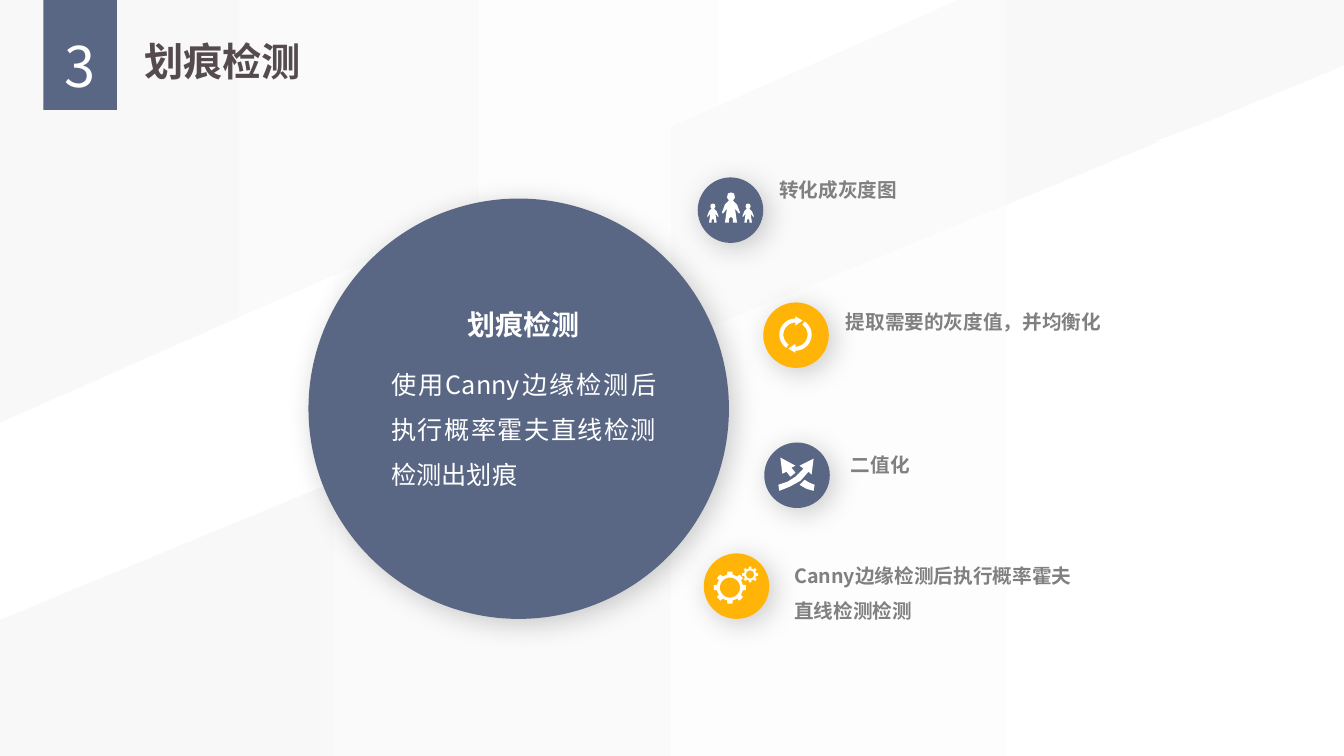
import math
import lxml.etree
import pptx
import pptx.dml.color
import pptx.enum.shapes
import pptx.enum.text
import pptx.oxml.ns
import pptx.util

Inches = pptx.util.Inches
Kind = pptx.enum.shapes.MSO_SHAPE
Align = pptx.enum.text.PP_ALIGN
qn = pptx.oxml.ns.qn
INK = {"navy": "596784", "gold": "FFB407", "white": "FFFFFF", "pale": "F8F8F8",
       "mist": "F2F2F2", "gray": "808080", "brown": "554B4F", "black": "000000"}


class Deck:
    """Hold the style and the current slide, and draw each kind of element."""

    face = "Noto Sans CJK SC"

    def __init__(self):
        self.prs = pptx.Presentation()
        self.prs.slide_width = Inches(13.33)
        self.prs.slide_height = Inches(7.5)
        self.slide = self.prs.slides.add_slide(self.prs.slide_layouts[5])
        self.shapes = self.slide.shapes

    def tint(self, name):
        return pptx.dml.color.RGBColor.from_string(INK[name])

    def paint(self, shape, *inks):
        shape.shadow.inherit = False
        shape.line.fill.background()
        if len(inks) == 1:
            shape.fill.solid()
            shape.fill.fore_color.rgb = self.tint(inks[0])
        else:
            shape.fill.gradient()
            shape.fill.gradient_angle = 180
            for stop, ink, place in zip(shape.fill.gradient_stops, inks, (0, 1)):
                stop.color.rgb = self.tint(ink)
                stop.position = place
        return shape

    def block(self, kind, box, *inks):
        return self.paint(self.shapes.add_shape(kind, *map(Inches, box)), *inks)

    def disc(self, left, top, size, ink):
        shape = self.block(Kind.OVAL, (left, top, size, size), ink)
        effect = shape._element.spPr.find(qn("a:effectLst"))
        shade = lxml.etree.SubElement(
            effect, qn("a:outerShdw"), blurRad=str(pptx.util.Pt(20)),
            dist=str(pptx.util.Pt(5)), dir=str(45 * 60000), algn="tl", rotWithShape="0")
        color = lxml.etree.SubElement(shade, qn("a:srgbClr"), val=INK["black"])
        lxml.etree.SubElement(color, qn("a:alpha"), val="20000")

    def form(self, loops, *inks):
        pen = None
        for loop in loops:
            first, *rest = [(Inches(x), Inches(y)) for x, y in loop]
            if pen is None:
                pen = self.shapes.build_freeform(*first)
            else:
                pen.move_to(*first)
            pen.add_line_segments(rest, close=True)
        return self.paint(pen.convert_to_shape(), *inks)

    def label(self, box, text, size, ink, bold=False, align=Align.LEFT,
              space=1.5, wrap=True, pads=(0.1, 0.05), shape=None):
        if shape is None:
            shape = self.shapes.add_textbox(*map(Inches, box))
        sides = dict(zip(("left", "top", "width", "height"), map(Inches, box)))
        frame = shape.text_frame
        wide, high = map(Inches, pads)
        frame.text = text
        para = frame.paragraphs[0]
        font = para.runs[0].font
        looks = (
            (shape, sides),
            (frame, {"word_wrap": wrap, "margin_left": wide, "margin_right": wide,
                     "margin_top": high, "margin_bottom": high,
                     "vertical_anchor": pptx.enum.text.MSO_ANCHOR.TOP,
                     "auto_size": pptx.enum.text.MSO_AUTO_SIZE.SHAPE_TO_FIT_TEXT}),
            (para, {"alignment": align, "line_spacing": space,
                    "space_before": pptx.util.Pt(0)}),
            (font, {"size": pptx.util.Pt(size), "bold": bold, "name": self.face}))
        for item, look in looks:
            for key, value in look.items():
                setattr(item, key, value)
        font.color.rgb = self.tint(ink)
        latin = font._element.find(qn("a:latin"))
        asian = lxml.etree.Element(qn("a:ea"), typeface=self.face)
        latin.addnext(asian)

    def title(self, box, text, size, ink):
        shape = self.shapes.title
        shape._element.getparent().append(shape._element)
        self.label(box, text, size, ink, bold=True, space=1.3, wrap=False, shape=shape)


def arc(mid, size, start, end, steps=20):
    turns = [math.radians(start + (end - start) * i / steps) for i in range(steps + 1)]
    return [(mid[0] + size * math.cos(t), mid[1] + size * math.sin(t)) for t in turns]


def gear(mid, tip, root, hole):
    rim = []
    for turn in range(0, 360, 45):
        rim += arc(mid, tip, turn - 9, turn + 9, 1) + arc(mid, root, turn + 12, turn + 33, 3)
    return [rim, arc(mid, hole, 0, 360, 32)]


def person(x, y, scale):
    half = [(0, 0), (0.03, 0.01), (0.04, 0.05), (0.02, 0.08), (0.06, 0.12),
            (0.09, 0.2), (0.08, 0.21), (0.04, 0.16), (0.06, 0.3), (0.02, 0.3),
            (0.02, 0.26), (0, 0.24)]
    full = half + [(-dx, dy) for dx, dy in half[-2:0:-1]]
    return [(x + dx * scale, y + dy * scale) for dx, dy in full]


def cycle(x, y):
    head = [(x, y + 0.18), (x - 0.07, y + 0.14), (x, y + 0.09)]
    right = arc((x, y), 0.16, -55, 90) + head + arc((x, y), 0.12, 90, -55)
    return [right, [(2 * x - px, 2 * y - py) for px, py in right]]


CROSS = [
    [(7.8, 4.68), (7.84, 4.73), (7.89, 4.69), (7.85, 4.64), (7.89, 4.62),
     (7.74, 4.54), (7.76, 4.7)],
    [(8.02, 4.68), (8.05, 4.71), (8.07, 4.55), (7.93, 4.62), (7.97, 4.65),
     (7.89, 4.73), (7.81, 4.78), (7.72, 4.81), (7.73, 4.87), (7.83, 4.83), (7.94, 4.77)],
    [(7.98, 4.76), (7.93, 4.81), (8, 4.85), (8.07, 4.87), (8.08, 4.81), (8.03, 4.79)]]
CROWD = [person(7.07, 2.02, 0.63), person(7.42, 2.02, 0.63), person(7.25, 1.91, 1)]
GEARS = gear((7.24, 5.83), 0.16, 0.13, 0.1) + gear((7.44, 5.7), 0.08, 0.06, 0.04)
STEPS = [
    ((6.92, 1.76), "navy", CROWD, (7.63, 1.6), 0.41, "转化成灰度图"),
    ((7.57, 3), "gold", cycle(7.89, 3.32), (8.29, 2.91), 0.41, "提取需要的灰度值，并均衡化"),
    ((7.58, 4.39), "navy", CROSS, (8.34, 4.33), 0.41, "二值化"),
    ((6.98, 5.49), "gold", GEARS, (7.78, 5.43), 0.77,
     "Canny边缘检测后执行概率霍夫直线检测检测")]


def main():
    deck = Deck()
    deck.block(Kind.RECTANGLE, (0, 0, 13.33, 7.5), "mist", "white")
    deck.block(Kind.RECTANGLE, (-0.02, 0, 13.35, 7.5), "pale", "white")
    deck.form([[(0, 0), (9.5, 0), (0, 4.19)]], "white", "pale")
    deck.form([[(-0.02, 6.16), (13.33, 0.65), (13.33, 7.5), (0, 7.5)]], "white", "pale")
    deck.form([[(11.46, 1.4), (13.33, 0.71), (13.33, 1.4)]], "white")

    deck.disc(3.06, 1.97, 4.17, "navy")
    for spot, ink, icon, place, high, text in STEPS:
        deck.disc(*spot, 0.65, ink)
        deck.form(icon, "white")
        deck.label((*place, 3.02, high), text, 14, "gray", bold=True)

    deck.label((3.7, 3.42, 2.99, 1.49), "使用Canny边缘检测后执行概率霍夫直线检测检测出划痕",
               18, "white", align=Align.JUSTIFY, pads=(0.18, 0.09))
    deck.label((4.53, 2.83, 1.32, 0.55), "划痕检测", 20, "white", bold=True,
               align=Align.CENTER, wrap=False)
    deck.title((1.33, 0.18, 1.77, 0.65), "划痕检测", 28, "brown")
    deck.block(Kind.RECTANGLE, (0.43, 0, 0.73, 1.09), "navy")
    deck.label((0.43, 0.11, 0.73, 0.88), "3", 40, "white", align=Align.CENTER,
               space=1.3, pads=(0, 0))
    deck.prs.save("out.pptx")


if __name__ == "__main__":
    main()
